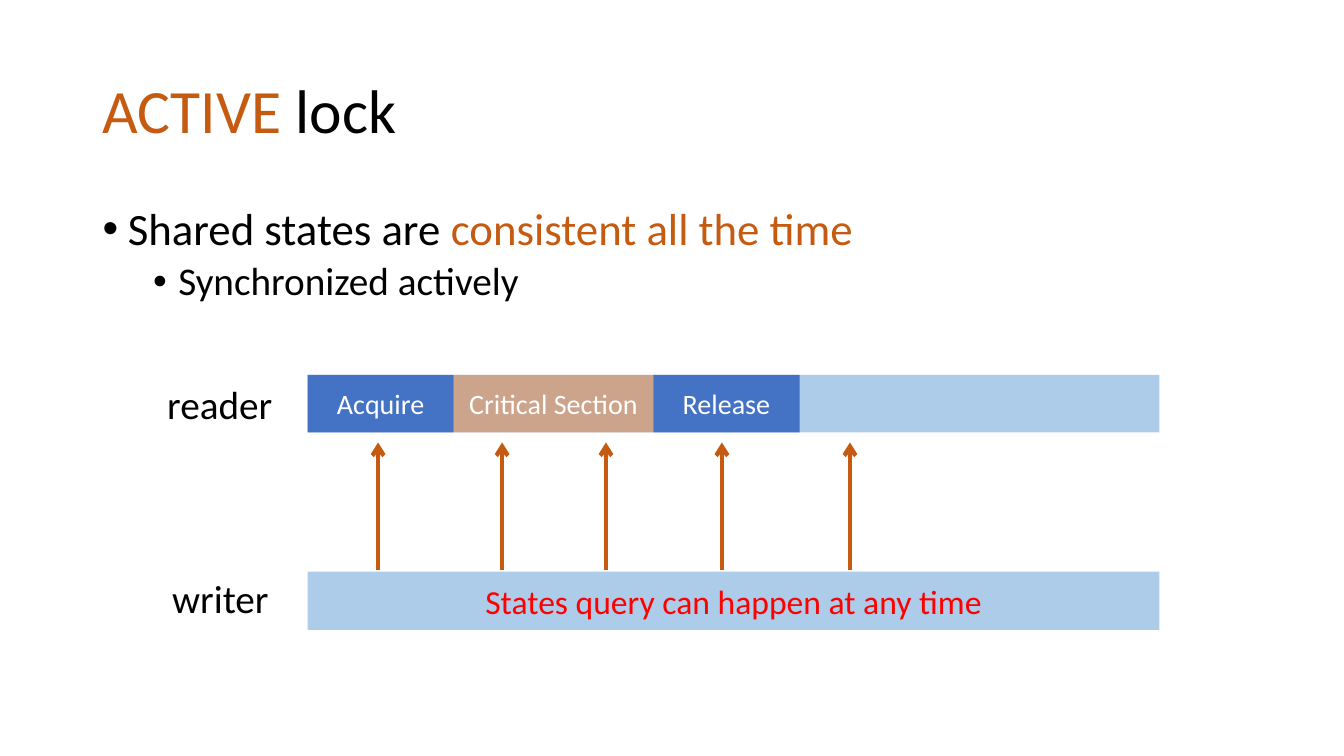
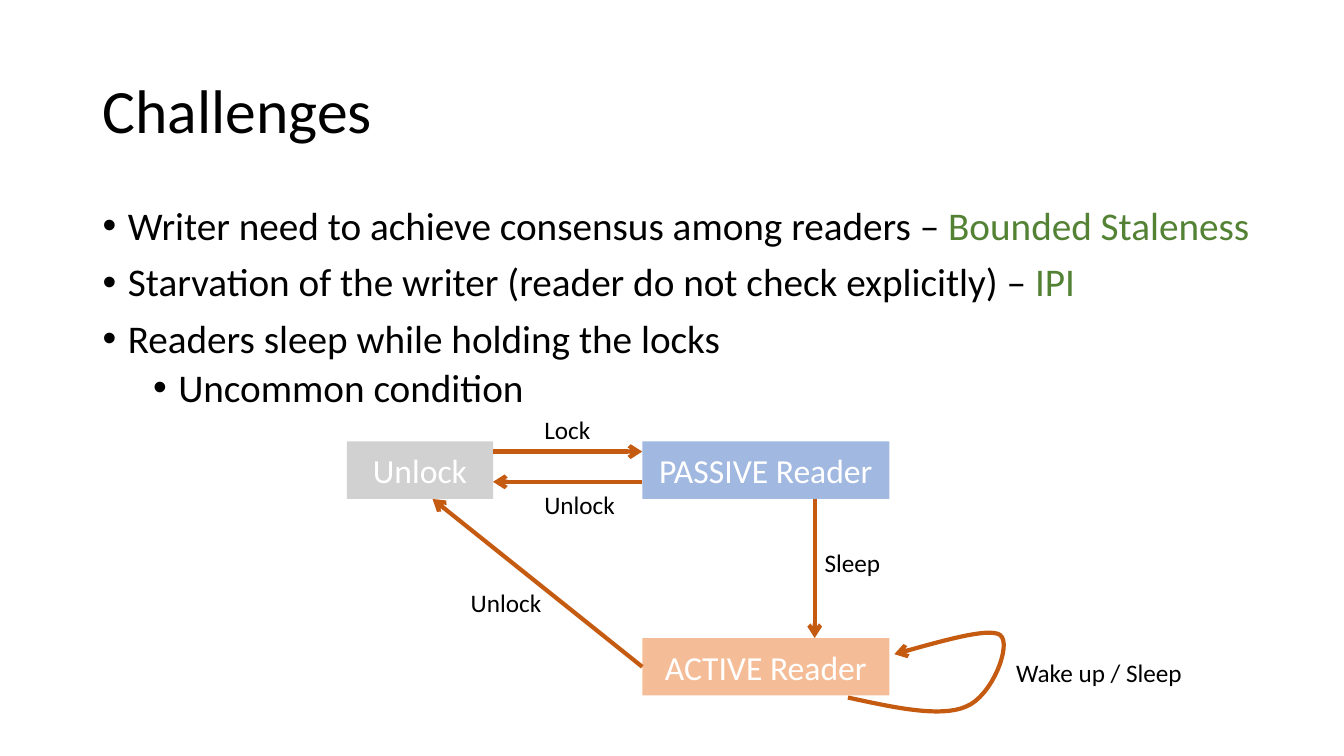
from dataclasses import dataclass

from lxml import etree
from pptx import Presentation
from pptx.dml.color import RGBColor
from pptx.enum.shapes import MSO_CONNECTOR, MSO_SHAPE
from pptx.enum.text import MSO_ANCHOR, MSO_AUTO_SIZE, PP_ALIGN
from pptx.oxml.ns import qn
from pptx.util import Pt

RECT, STRAIGHT = MSO_SHAPE.RECTANGLE, MSO_CONNECTOR.STRAIGHT
TOP, MIDDLE = MSO_ANCHOR.TOP, MSO_ANCHOR.MIDDLE
LEFT, CENTER = PP_ALIGN.LEFT, PP_ALIGN.CENTER
GROW = MSO_AUTO_SIZE.SHAPE_TO_FIT_TEXT
LEFT_SIDE = 1

EMU_PER_PX = 9144  # 100 px to the inch
FONT = "Calibri"
BLACK, WHITE, RED = "000000", "FFFFFF", "FF0000"
RUST, GREEN = "C55A11", "548235"
BLUE, SKY, ORANGE, GREY = "4472C4", "5B9BD5", "ED7D31", "A5A5A5"
HALF = 50  # percent opacity

Runs = list[tuple[str, str]]  # (text, colour)


@dataclass
class Bullet:
    runs: Runs
    size: int
    level: int = 0


@dataclass
class Box:
    x: int
    y: int
    w: int
    h: int
    fill: str
    opacity: int = 100
    text: str = ""
    size: int = 20
    color: str = WHITE


@dataclass
class Label:
    x: int
    y: int
    w: int
    h: int
    text: str
    size: int


@dataclass
class Arrow:
    x1: int
    y1: int
    x2: int
    y2: int


def px(n: float) -> int:
    return round(n * EMU_PER_PX)


def rgb(color: str) -> RGBColor:
    return RGBColor.from_string(color)


def apply(target, values: dict) -> None:
    for name, value in values.items():
        setattr(target, name, value)


def add_runs(p, runs: Runs, size: int) -> None:
    for text, color in runs:
        r = p.add_run()
        r.text = text
        apply(r.font, {"name": FONT, "size": Pt(size)})
        r.font.color.rgb = rgb(color)


def add_text(s, x: int, y: int, w: int, h: int, **frame):
    tf = s.shapes.add_textbox(px(x), px(y), px(w), px(h)).text_frame
    apply(tf, {"word_wrap": True, "vertical_anchor": TOP, **frame})
    return tf


def add_title(s, runs: Runs) -> None:
    p = add_text(s, 92, 40, 1150, 145, vertical_anchor=MIDDLE).paragraphs[0]
    p.line_spacing = 0.9
    add_runs(p, runs, 44)


def add_body(s, bullets: list[Bullet], w: int) -> None:
    tf = add_text(s, 92, 200, w, 476)
    for i, b in enumerate(bullets):
        p = tf.add_paragraph() if i else tf.paragraphs[0]
        before = (5 if b.level else 10) if i else 0
        apply(p, {"level": b.level, "line_spacing": 0.9, "space_before": Pt(before)})
        pPr = p._p.get_or_add_pPr()
        pPr.set("marL", str(px(25 + 50 * b.level)))
        pPr.set("indent", str(px(-25)))
        etree.SubElement(pPr, qn("a:buFont"), typeface="Arial")
        etree.SubElement(pPr, qn("a:buChar"), char="•")
        add_runs(p, b.runs, b.size)


def add_box(s, b: Box):
    sp = s.shapes.add_shape(RECT, px(b.x), px(b.y), px(b.w), px(b.h))
    sp.shadow.inherit = False
    sp.line.fill.background()
    sp.fill.solid()
    sp.fill.fore_color.rgb = rgb(b.fill)
    if b.opacity < 100:
        clr = sp._element.spPr.find(".//" + qn("a:srgbClr"))
        etree.SubElement(clr, qn("a:alpha"), val=str(b.opacity * 1000))
    if b.text:
        tf = sp.text_frame
        apply(tf, {"word_wrap": True, "vertical_anchor": MIDDLE})
        tf.paragraphs[0].alignment = CENTER
        add_runs(tf.paragraphs[0], [(b.text, b.color)], b.size)
    return sp


def add_label(s, t: Label) -> None:
    tf = add_text(s, t.x, t.y, t.w, t.h, word_wrap=False, auto_size=GROW)
    tf.paragraphs[0].alignment = LEFT
    add_runs(tf.paragraphs[0], [(t.text, BLACK)], t.size)


def style_arrow(line) -> None:
    line.color.rgb = rgb(RUST)
    line.width = Pt(3)
    etree.SubElement(line._get_or_add_ln(), qn("a:tailEnd"), type="arrow")


def add_arrow(s, a: Arrow):
    cn = s.shapes.add_connector(STRAIGHT, px(a.x1), px(a.y1), px(a.x2), px(a.y2))
    style_arrow(cn.line)
    etree.SubElement(cn._element.spPr, qn("a:effectLst"))
    return cn


def bezier(pts: list[tuple[int, int]], t: float) -> tuple[int, int]:
    """EMU point at t on a cubic curve with four control points."""
    u = 1 - t
    weights = (u**3, 3 * u * u * t, 3 * u * t * t, t**3)
    x, y = (px(sum(k * pt[i] for k, pt in zip(weights, pts))) for i in (0, 1))
    return x, y


def add_curve(s, pts: list[tuple[int, int]], steps: int = 16) -> None:
    """Arrow along joined cubic curves; neighbours share an end point."""
    points = [bezier(pts[i:i + 4], n / steps)
              for i in range(0, len(pts) - 1, 3) for n in range(1, steps + 1)]
    fb = s.shapes.build_freeform(px(pts[0][0]), px(pts[0][1]))
    fb.add_line_segments(points, close=False)
    sp = fb.convert_to_shape()
    sp.shadow.inherit = False
    sp.fill.background()
    style_arrow(sp.line)


def active_lock(s) -> None:
    add_title(s, [("ACTIVE ", RUST), ("lock", BLACK)])
    add_body(s, [
        Bullet([("Shared states are ", BLACK), ("consistent all the time", RUST)], 32),
        Bullet([("Synchronized actively", BLACK)], 28, 1),
    ], 1150)

    # Reader and writer timelines
    for label in (Label(156, 372, 125, 57, "reader", 28),
                  Label(161, 565, 117, 57, "writer", 28)):
        add_label(s, label)
    x, y, h = 305, 372, 57
    add_box(s, Box(x, y, 845, h, SKY, HALF))
    add_box(s, Box(x, 567, 845, 58, SKY, HALF,
                   "States query can happen at any time", 24, RED))
    for text, w, fill, opacity in (("Acquire", 145, BLUE, 100),
                                   ("Critical Section", 198, ORANGE, HALF),
                                   ("Release", 145, BLUE, 100)):
        add_box(s, Box(x, y, w, h, fill, opacity, text))
        x += w

    # State queries
    for x in (375, 498, 601, 716, 843):
        add_arrow(s, Arrow(x, 565, x, 439))


def challenges(s) -> None:
    add_title(s, [("Challenges", BLACK)])
    add_body(s, [
        Bullet([("Writer need to achieve consensus among readers – ", BLACK),
                ("Bounded Staleness", GREEN)], 28),
        Bullet([("Starvation of the writer (reader do not check explicitly) – ", BLACK),
                ("IPI", GREEN)], 28),
        Bullet([("Readers sleep while holding the locks", BLACK)], 28),
        Bullet([("Uncommon condition", BLACK)], 28, 1),
    ], 1211)

    # Lock states
    add_box(s, Box(344, 438, 145, 57, GREY, HALF, "Unlock", 24))
    add_box(s, Box(637, 438, 245, 57, BLUE, HALF, "PASSIVE Reader", 24))
    active = add_box(s, Box(637, 633, 245, 57, ORANGE, HALF, "ACTIVE Reader", 24))

    # Transitions
    for arrow in (Arrow(489, 448, 637, 448), Arrow(637, 478, 489, 478),
                  Arrow(808, 495, 808, 633)):
        add_arrow(s, arrow)
    release = add_arrow(s, Arrow(637, 662, 429, 495))
    release.begin_connect(active, LEFT_SIDE)
    add_curve(s, [(841, 692), (887, 702), (933, 712), (958, 701), (984, 691),
                  (1004, 639), (992, 630), (981, 622), (934, 636), (887, 649)])
    for x, y, w, text in ((530, 406, 66, "Lock"), (530, 481, 91, "Unlock"),
                          (457, 578, 91, "Unlock"), (808, 538, 76, "Sleep"),
                          (998, 647, 187, "Wake up / Sleep")):
        add_label(s, Label(x, y, w, 40, text, 18))


def main() -> None:
    prs = Presentation()
    apply(prs, {"slide_width": px(1333), "slide_height": px(750)})
    blank = prs.slide_layouts[6]
    for build in (active_lock, challenges):
        build(prs.slides.add_slide(blank))
    prs.save("out.pptx")


if __name__ == "__main__":
    main()
